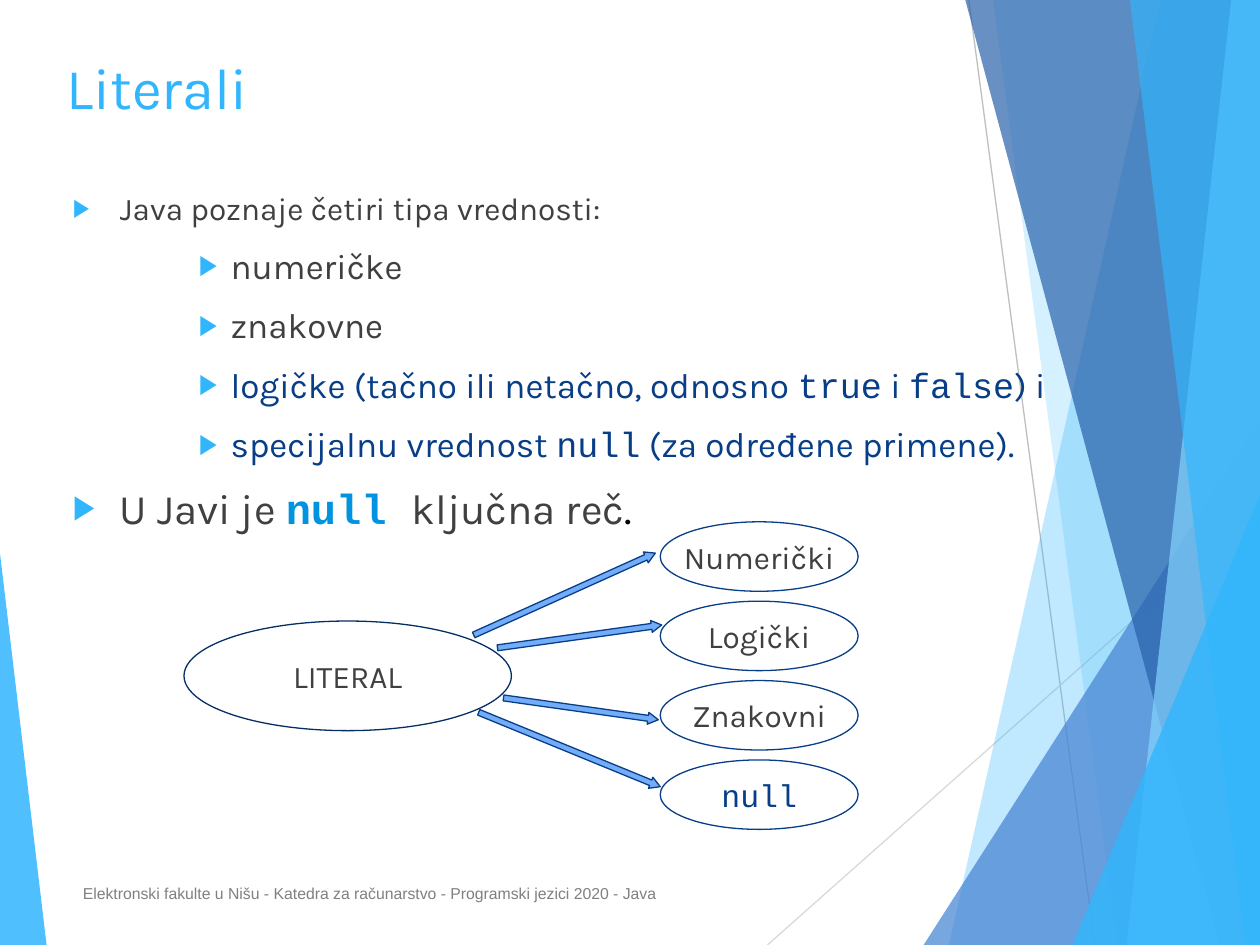
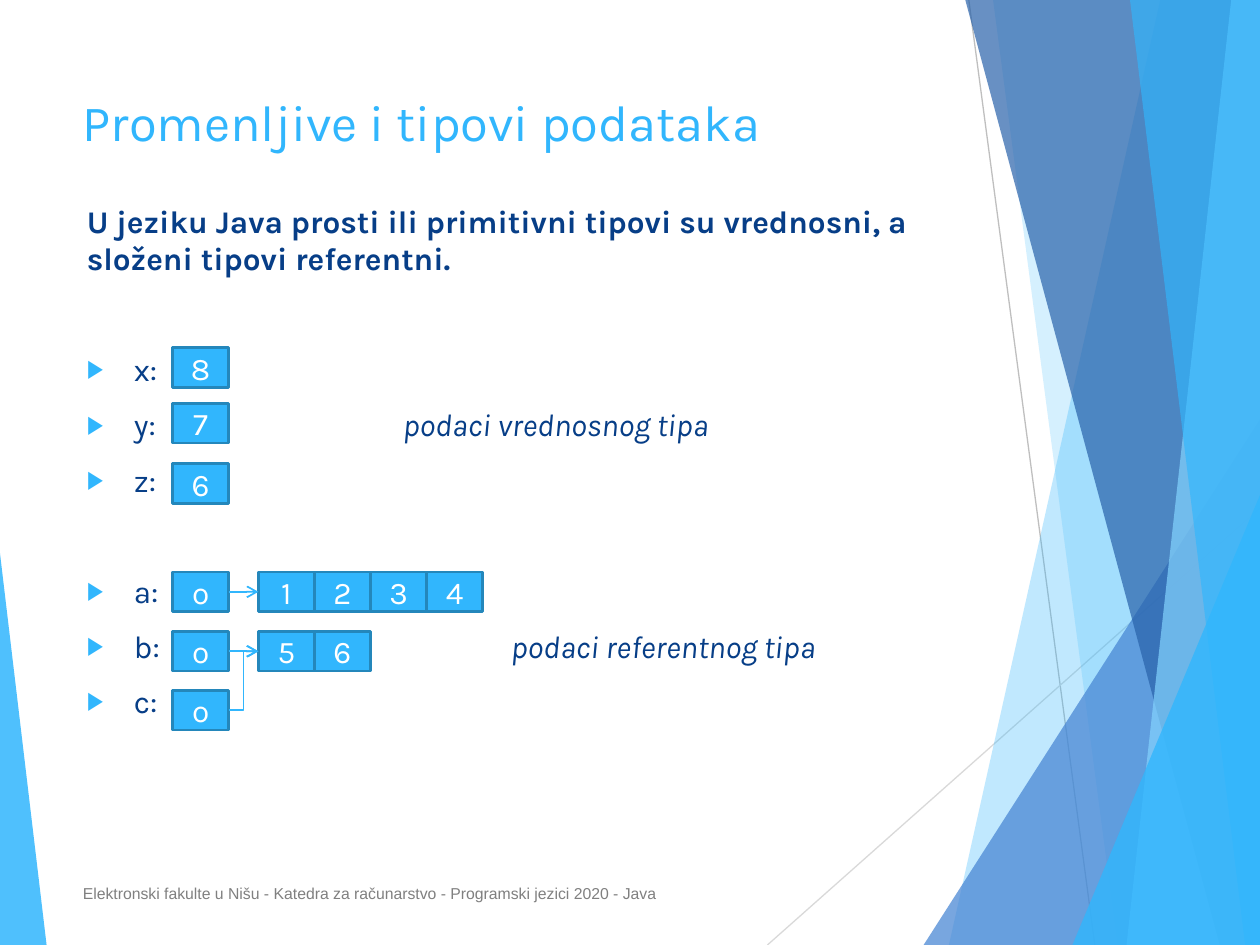
import math

import lxml.etree
import pptx
import pptx.dml.color
import pptx.enum.shapes
import pptx.enum.text
import pptx.oxml
import pptx.oxml.ns
import pptx.util

Cm, Pt, qn = pptx.util.Cm, pptx.util.Pt, pptx.oxml.ns.qn
SHAPE = pptx.enum.shapes.MSO_SHAPE
LINK = pptx.enum.shapes.MSO_CONNECTOR
ALIGN, ANCHOR = pptx.enum.text.PP_ALIGN, pptx.enum.text.MSO_ANCHOR

# Shared look
W, H = 25.4, 19.05
SKY, NAVY, GREY, BLACK, WHITE = "31B6FD", "073E87", "404040", "000000", "FFFFFF"
KARLA, MONO = "Karla", "Courier New"
FOOTER = "Elektronski fakulte u Nišu - Katedra za računarstvo - Programski jezici 2020 - Java"
RAYS = [("BFBFBF", (19.53, 0, 22.07, H)), ("D9D9D9", (W, 10.24, 15.47, H))]
# A band runs from its top x to its bottom x and fills to the right edge;
# a wedge stands on the bottom edge: left, width, height, apex
BANDS = [
    ("band", (23.39, 19.13), SKY, 30),
    ("band", (20.02, 22.53), SKY, 20),
    ("wedge", (18.62, 6.78, 10.59, 1), "4584D3", 72),
    ("band", (19.46, 24.59), "2862AA", 70),
    ("band", (24.82, 22.71), "83D3FE", 70),
    ("band", (22.78, 25.1), SKY, 65),
    ("wedge", (21.62, 3.78, 9.07, 1), SKY, 80),
    ("wedge", (0, 0.94, 7.9, 0), SKY, 85),
]

# Slide 1: runs are (text, size, colour, font, style)
LITERAL_TYPES = [
    (1, [("Java poznaje četiri tipa vrednosti:", 18, GREY, KARLA, "")]),
    (2, [("numeričke", 20, GREY, KARLA, "")]),
    (2, [("znakovne", 20, GREY, KARLA, "")]),
    (2, [("logičke (tačno ili netačno, odnosno ", 20, NAVY, KARLA, ""),
         ("true", 20, NAVY, MONO, ""), (" i ", 20, NAVY, KARLA, ""),
         ("false", 20, NAVY, MONO, ""), (") i", 20, NAVY, KARLA, "")]),
    (2, [("specijalnu vrednost ", 20, NAVY, KARLA, ""), ("null", 20, NAVY, MONO, ""),
         (" (za određene primene).", 20, NAVY, KARLA, "")]),
    (1, [("U Javi je ", 24, GREY, KARLA, ""), ("null ", 24, "0293E0", MONO, "b"),
         ("ključna reč", 24, GREY, KARLA, ""), (".", 24, BLACK, KARLA, "")]),
]
LITERAL_KINDS = [("Numerički", GREY, KARLA), ("Logički", GREY, KARLA),
                 ("Znakovni", GREY, KARLA), ("null", NAVY, MONO)]
ARROWS = [(9.55, 12.8, 13.21, 11.15), (10.03, 13.06, 13.34, 12.6),
          (10.15, 14.07, 13.27, 14.51), (9.65, 14.36, 13.31, 15.86)]

# Slide 2
RULE = "U jeziku Java prosti ili primitivni tipovi su vrednosni, a složeni tipovi referentni."
# name, note, tab to the note, space before
VARIABLES = [
    ("x:", "", 0, 41.7), ("y:", "podaci vrednosnog tipa", 6.37, 10), ("z:", "", 0, 10),
    ("a:", "", 0, 41.7), ("b:", "podaci referentnog tipa", 8.55, 10), ("c:", "", 0, 10),
]
# top, variable's box, cells it refers to
MEMORY = [(7.01, "8", ""), (8.13, "7", ""), (9.35, "6", ""),
          (11.53, "o", "1234"), (12.73, "o", "56"), (13.92, "o", "")]
VAR_X, CELL_X, CELL_W, CELL_H = 3.48, 5.21, 1.13, 0.8


def rgb(colour):
    return pptx.dml.color.RGBColor.from_string(colour)


def paint(s, fill=None, line=None, width=0.75, alpha=100):
    s.shadow.inherit = False
    if fill:
        s.fill.solid()
        s.fill.fore_color.rgb = rgb(fill)
        if alpha < 100:
            tag = s.fill._xPr.find(".//" + qn("a:srgbClr"))
            lxml.etree.SubElement(tag, qn("a:alpha"), val=str(alpha * 1000))
    else:
        s.fill.background()
    if line:
        s.line.color.rgb = rgb(line)
        s.line.width = Pt(width)
    else:
        s.line.fill.background()


def add_run(p, text, size, colour, font=KARLA, style=""):
    r = p.add_run()
    r.text = text
    r.font.size, r.font.name = Pt(size), font
    r.font.color.rgb = rgb(colour)
    r.font.bold, r.font.italic = "b" in style, "i" in style


def text_box(slide, box, anchor=ANCHOR.TOP):
    tf = slide.shapes.add_textbox(*map(Cm, box)).text_frame
    tf.word_wrap = True
    tf.vertical_anchor = anchor
    return tf


def next_paragraph(tf, first):
    return tf.paragraphs[0] if first else tf.add_paragraph()


def bullet(p, level=1, tab=0):
    left, hang = [(0.95, 0.95), (3.18, 0.64)][level - 1]
    pPr = p._p.get_or_add_pPr()
    pPr.set("marL", str(Cm(left)))
    pPr.set("indent", str(-Cm(hang)))
    color = lxml.etree.SubElement(pPr, qn("a:buClr"))
    lxml.etree.SubElement(color, qn("a:srgbClr"), val=SKY)
    lxml.etree.SubElement(pPr, qn("a:buSzPct"), val="80000")
    lxml.etree.SubElement(pPr, qn("a:buFont"), typeface="Arial")
    lxml.etree.SubElement(pPr, qn("a:buChar"), char="▶")
    if tab:
        tabs = lxml.etree.SubElement(pPr, qn("a:tabLst"))
        lxml.etree.SubElement(tabs, qn("a:tab"), pos=str(Cm(tab)), algn="l")


def labelled(slide, kind, box, text, colour, font=KARLA, wrap=True, **look):
    s = slide.shapes.add_shape(kind, *map(Cm, box))
    paint(s, **look)
    tf = s.text_frame
    tf.word_wrap, tf.vertical_anchor = wrap, ANCHOR.MIDDLE
    p = tf.paragraphs[0]
    p.alignment = ALIGN.CENTER
    add_run(p, text, 18, colour, font)
    return s


def add_line(slide, ends, colour, width, kind=LINK.STRAIGHT):
    s = slide.shapes.add_connector(kind, *ends)
    s.line.color.rgb = rgb(colour)
    s.line.width = Pt(width)
    lxml.etree.SubElement(s._element.spPr, qn("a:effectLst"))
    return s


def base_slide(prs, title, size, box):
    slide = prs.slides.add_slide(prs.slide_layouts[6])
    for colour, ends in RAYS:
        add_line(slide, map(Cm, ends), colour, 0.75)
    for kind, place, colour, alpha in BANDS:
        if kind == "band":
            top, bottom = place
            outline = slide.shapes.build_freeform(Cm(top), 0)
            outline.add_line_segments([(Cm(W), 0), (Cm(W), Cm(H)), (Cm(bottom), Cm(H))])
            s = outline.convert_to_shape()
        else:
            left, width, height, apex = place
            s = slide.shapes.add_shape(SHAPE.ISOSCELES_TRIANGLE, Cm(left), Cm(H - height),
                                       Cm(width), Cm(height))
            s.adjustments[0] = apex
        paint(s, colour, alpha=alpha)
    add_run(text_box(slide, box).paragraphs[0], title, size, SKY)
    tf = text_box(slide, (1.42, 17.5, 17.91, 1.02), ANCHOR.MIDDLE)
    add_run(tf.paragraphs[0], FOOTER, 9, "808080", "Arial")
    return slide


def literals_slide(prs):
    slide = base_slide(prs, "Literali", 33, (1.09, 0.91, 20.62, 2.41))
    tf = text_box(slide, (1.22, 3.68, 20.62, 11.81))
    for i, (level, runs) in enumerate(LITERAL_TYPES):
        p = next_paragraph(tf, i == 0)
        p.space_before = Pt(10)
        bullet(p, level)
        for run in runs:
            add_run(p, *run)

    # Tree of literal kinds
    labelled(slide, SHAPE.OVAL, (3.71, 12.52, 6.6, 2.21), "LITERAL", GREY,
             wrap=False, line="052E65")
    for i, (text, colour, font) in enumerate(LITERAL_KINDS):
        labelled(slide, SHAPE.OVAL, (13.31, 10.52 + 1.6 * i, 3.99, 1.4), text, colour, font,
                 wrap=False, line=NAVY)
    thick = 0.24
    for x1, y1, x2, y2 in ARROWS:
        length = math.hypot(x2 - x1, y2 - y1)
        s = slide.shapes.add_shape(SHAPE.RIGHT_ARROW, Cm((x1 + x2 - length) / 2),
                                   Cm((y1 + y2 - thick) / 2), Cm(length), Cm(thick))
        s.adjustments[1] = 0.87
        s.rotation = math.degrees(math.atan2(y2 - y1, x2 - x1))
        paint(s, "73ACF8", NAVY)


def point_to(slide, source, target, kind=LINK.STRAIGHT):
    ends = (source.left + source.width, source.top + source.height // 2,
            target.left, target.top + target.height // 2)
    s = add_line(slide, ends, SKY, 1, kind)
    s.begin_connect(source, 3)
    s.end_connect(target, 1)
    lxml.etree.SubElement(s.line._get_or_add_ln(), qn("a:tailEnd"), type="arrow")


def variables_slide(prs):
    slide = base_slide(prs, "Promenljive i tipovi podataka", 29, (1.42, 1.7, 17.91, 2.03))
    tf = text_box(slide, (1.5, 3.94, 17.63, 12.01))
    p = tf.paragraphs[0]
    p.space_before = Pt(10)
    add_run(p, RULE, 18, NAVY, style="b")
    for name, note, tab, space in VARIABLES:
        p = tf.add_paragraph()
        p.space_before = Pt(space)
        bullet(p, tab=tab)
        add_run(p, name + ("\t" if note else ""), 18, NAVY)
        if note:
            add_run(p, note, 18, NAVY, style="i")

    # Memory boxes and references
    def cell(x, y, text):
        return labelled(slide, SHAPE.RECTANGLE, (x, y, CELL_W, CELL_H), text, WHITE,
                        fill=SKY, line="2487BB", width=1.5)

    target = None
    for top, value, items in MEMORY:
        box = cell(VAR_X, top, value)
        cells = [cell(CELL_X + CELL_W * i, top, item) for i, item in enumerate(items)]
        if cells:
            target = cells[0]
            point_to(slide, box, target)
        elif target:
            point_to(slide, box, target, LINK.ELBOW)


def main():
    prs = pptx.Presentation()
    prs.slide_width, prs.slide_height = Cm(W), Cm(H)
    literals_slide(prs)
    variables_slide(prs)
    prs.save("out.pptx")


if __name__ == "__main__":
    main()
